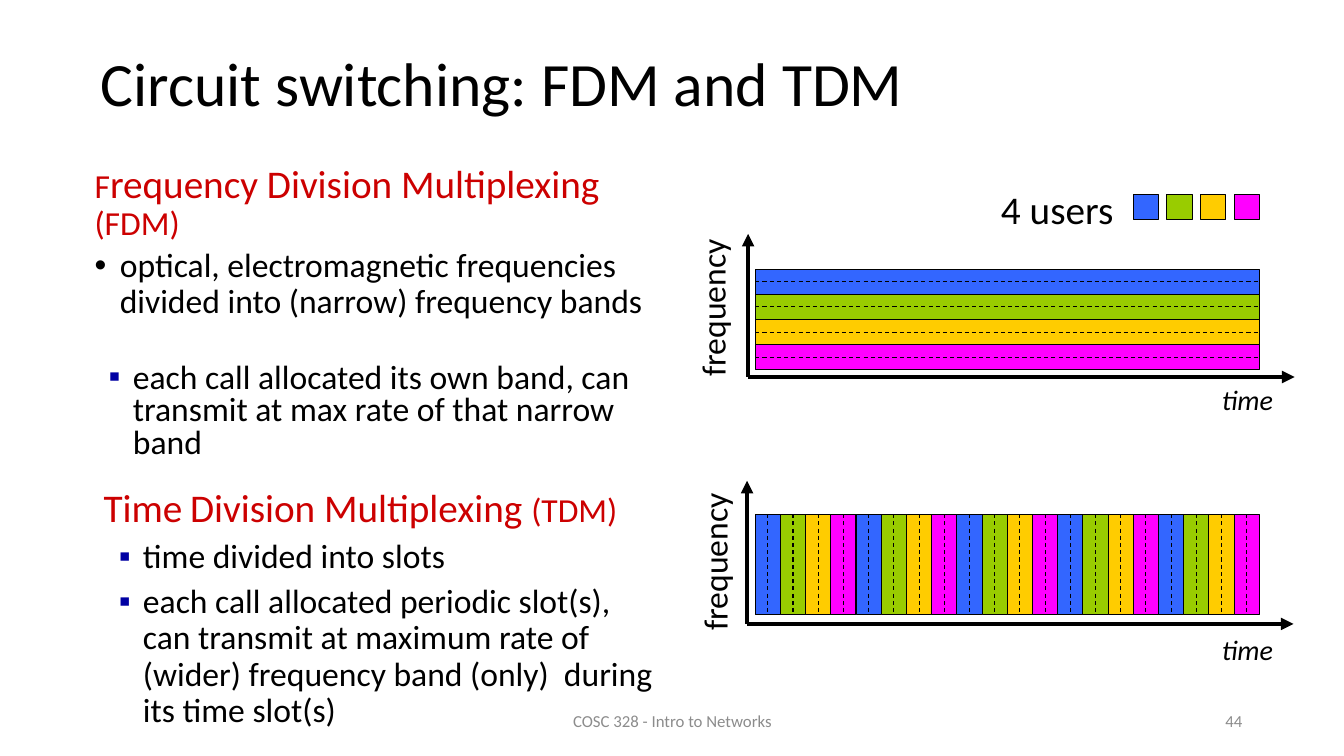
import pptx
import pptx.util
import pptx.dml.color
import pptx.enum.dml
import pptx.enum.shapes
import pptx.enum.text
import pptx.oxml.ns
import lxml.etree

RGBColor = pptx.dml.color.RGBColor
PP_ALIGN = pptx.enum.text.PP_ALIGN
MIDDLE = pptx.enum.text.MSO_ANCHOR.MIDDLE
BLACK = RGBColor(0, 0, 0)
RED = RGBColor(0xCC, 0, 0)
NAVY = RGBColor(0, 0, 0xA3)
GRAY = RGBColor(0x8C, 0x8C, 0x8C)
USERS = [RGBColor(0x33, 0x66, 0xFF), RGBColor(0x99, 0xCC, 0),
         RGBColor(0xFF, 0xCC, 0), RGBColor(0xFF, 0, 0xFF)]
FONT = "Calibri"
SCALE = 9144
BAND = 25
PLOT_W = 500
PLOT_H = 100


def px(n):
    return pptx.util.Emu(round(n * SCALE))


def sub(parent, tag, **attrs):
    return lxml.etree.SubElement(parent, pptx.oxml.ns.qn(tag), **attrs)


def add_runs(p, runs, color, italic=False):
    for text, size in runs:
        r = p.add_run()
        r.text = text
        r.font.name = FONT
        r.font.size = pptx.util.Pt(size)
        r.font.color.rgb = color
        r.font.italic = italic


def add_box(s, x, y, w, h, wrap=True, anchor=None):
    sp = s.shapes.add_textbox(px(x), px(y), px(w), px(h))
    sp.text_frame.word_wrap = wrap
    if anchor is not None:
        sp.text_frame.vertical_anchor = anchor
    return sp


def add_label(s, x, y, w, h, text, size, color=BLACK, wrap=False,
              anchor=None, align=PP_ALIGN.LEFT, italic=False):
    sp = add_box(s, x, y, w, h, wrap, anchor)
    p = sp.text_frame.paragraphs[0]
    p.alignment = align
    add_runs(p, [(text, size)], color, italic)
    return sp


def add_rect(s, x, y, w, h, color):
    sp = s.shapes.add_shape(pptx.enum.shapes.MSO_SHAPE.RECTANGLE,
                            px(x), px(y), px(w), px(h))
    sp.shadow.inherit = False
    sp.fill.solid()
    sp.fill.fore_color.rgb = color
    sp.line.color.rgb = BLACK
    sp.line.width = pptx.util.Pt(0.75)


def add_line(s, x1, y1, x2, y2, width, arrow=False):
    c = s.shapes.add_connector(pptx.enum.shapes.MSO_CONNECTOR.STRAIGHT,
                               px(x1), px(y1), px(x2), px(y2))
    c.line.color.rgb = BLACK
    c.line.width = pptx.util.Pt(width)
    if arrow:
        sub(c.line._get_or_add_ln(), "a:tailEnd", type="triangle")
    else:
        c.line.dash_style = pptx.enum.dml.MSO_LINE.DASH
    sub(c._element.spPr, "a:effectLst")


def set_bullet(p, char, color, left, hanging):
    pPr = p._p.get_or_add_pPr()
    pPr.set("marL", str(px(left)))
    pPr.set("indent", str(px(-hanging)))
    sub(sub(pPr, "a:buClr"), "a:srgbClr", val=str(color))
    sub(pPr, "a:buFont", typeface="Arial")
    sub(pPr, "a:buChar", char=char)


def add_notes(s, x, y, w, h, items, spacing=0.9, before=6):
    tf = add_box(s, x, y, w, h).text_frame
    for i, (runs, color, bullet) in enumerate(items):
        p = tf.add_paragraph() if i else tf.paragraphs[0]
        if bullet:
            set_bullet(p, *bullet)
        p.line_spacing = spacing
        if i:
            p.space_before = pptx.util.Pt(before)
        add_runs(p, runs, color)


def add_axes(s, x, y, label_x, label_y, time_x, time_y):
    add_line(s, x, y, x, y - 142, 3, arrow=True)
    add_line(s, x, y, x + 542, y, 3, arrow=True)
    add_label(s, label_x, label_y, 158, 51, "frequency", 24).rotation = 270
    add_label(s, time_x, time_y, 73, 44, "time", 20, italic=True)


def add_fdm_plot(s, x, y):
    add_axes(s, x - 7, y + 107, x - 121, y + 12, x + 453, y + 108)
    for i, color in enumerate(USERS):
        top = y + i * BAND
        add_rect(s, x, top, PLOT_W, BAND, color)
        add_line(s, x, top + BAND / 2, x + PLOT_W, top + BAND / 2, 0.75)


def add_tdm_plot(s, x, y):
    add_axes(s, x - 8, y + 109, x - 119, y + 21, x + 453, y + 113)
    for i in range(PLOT_W // BAND):
        left = x + i * BAND
        add_rect(s, left, y, BAND, PLOT_H, USERS[i % len(USERS)])
        add_line(s, left + BAND / 2, y, left + BAND / 2, y + PLOT_H, 0.75)


def add_legend(s, x, y):
    add_label(s, x, y, 133, 57, "4 users", 28)
    for i, color in enumerate(USERS):
        add_rect(s, x + 141 + i * 100 / 3, y + 14, BAND, BAND, color)


def add_explanations(s, x, y):
    dot = ("•", BLACK, 25, 25)
    square = ("▪", NAVY, 39, 24)
    add_notes(s, x + 1, y, 576, 217, [
        ([("F", 24), ("requency Division Multiplexing ", 28), ("(FDM)", 24)],
         RED, None),
        ([("optical, electromagnetic frequencies divided into (narrow) "
           "frequency bands", 24)], BLACK, dot),
    ], before=4)
    add_notes(s, x, y + 198, 576, 114, [
        ([("each call allocated its own band, can transmit at max rate of "
           "that narrow band", 24)], BLACK, square),
    ], spacing=0.8)
    add_notes(s, x + 10, y + 322, 577, 95, [
        ([("Time", 28), (" ", 24), ("Division Multiplexing ", 28),
          ("(TDM)", 24)], RED, None),
        ([("time divided into slots", 24)], BLACK, square),
    ])
    add_notes(s, x + 10, y + 417, 577, 175, [
        ([("each call allocated periodic slot(s), can transmit at maximum "
           "rate of (wider) frequency band (only)  during its time slot(s)",
           24)], BLACK, square),
    ])


def add_footer(s, y):
    add_label(s, 442, y, 450, 40, "COSC 328 - Intro to Networks", 12, GRAY,
              True, MIDDLE, PP_ALIGN.CENTER)
    add_label(s, 942, y, 300, 40, "44", 12, GRAY, True, MIDDLE,
              PP_ALIGN.RIGHT)


def main():
    prs = pptx.Presentation()
    prs.slide_width = px(1333)
    prs.slide_height = px(750)
    s = prs.slides.add_slide(prs.slide_layouts[6])
    title = add_label(s, 90, 37, 1150, 98, "Circuit switching: FDM and TDM",
                      44, wrap=True, anchor=MIDDLE)
    title.text_frame.paragraphs[0].line_spacing = 0.9
    add_fdm_plot(s, 749, 267)
    add_tdm_plot(s, 749, 510)
    add_legend(s, 983, 179)
    add_explanations(s, 83, 158)
    add_footer(s, 695)
    prs.save("out.pptx")


if __name__ == "__main__":
    main()
